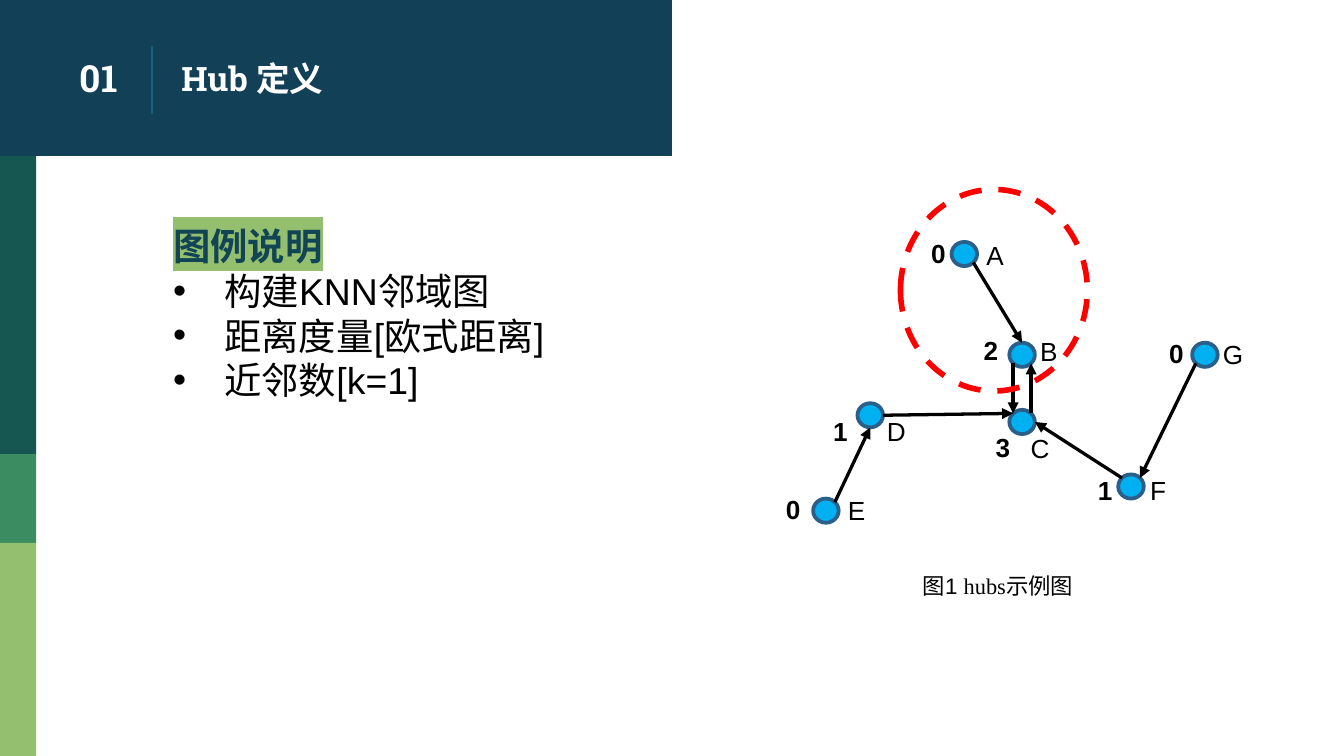
from dataclasses import dataclass
from math import cos, pi, sin

from lxml import etree
from pptx import Presentation
from pptx.dml.color import RGBColor
from pptx.enum import dml, shapes, text
from pptx.oxml import ns
from pptx.util import Inches, Pt


@dataclass(frozen=True)
class Theme:
    """Colours, fonts and type sizes of the slide."""
    navy: str = "124057"
    teal: str = "18637B"
    pine: str = "165751"
    green: str = "3B8D61"
    lime: str = "94BF6E"
    heading: str = "114454"
    white: str = "FFFFFF"
    black: str = "000000"
    node: str = "00B0F0"
    node_edge: str = "2B5F8A"
    ring: str = "FF0000"
    slab: str = "Roboto Slab"
    sans: str = "Arial"
    head_font: str = "Calibri"
    serif: str = "Times New Roman"
    title: int = 18
    body: int = 20
    label: int = 14
    caption: int = 12


T = Theme()
NODE_W, NODE_H = 0.19, 0.18
NODES = {
    "A": ("0", (1.33, 0.39), (1.08, 0.31), (1.49, 0.32)),
    "B": ("2", (1.76, 1.14), (1.47, 1.03), (1.89, 1.04)),
    "C": ("3", (1.76, 1.64), (1.56, 1.75), (1.82, 1.76)),
    "D": ("1", (0.63, 1.59), (0.35, 1.63), (0.75, 1.63)),
    "E": ("0", (0.3, 2.3), (0, 2.21), (0.46, 2.22)),
    "F": ("1", (2.57, 2.12), (2.32, 2.07), (2.71, 2.07)),
    "G": ("0", (3.12, 1.14), (2.85, 1.05), (3.25, 1.06)),
}
EDGES = [("A", 5, "B", 0), ("E", 7, "D", 4), ("D", 6, "C", 1), ("B", 3, "C", 1),
         ("C", 7, "B", 5), ("F", 1, "C", 6), ("G", 3, "F", 7)]


def rgb(value):
    """Turn a hex string into a colour."""
    return RGBColor.from_string(value)


def add_run(p, words, size, font, color, bold=False):
    """Append one formatted run to a paragraph."""
    r = p.add_run()
    r.text = words
    r.font.size, r.font.name, r.font.bold = Pt(size), font, bold
    r.font.color.rgb = rgb(color)
    return r


def add_text(s, x, y, w, h, inset=0.05):
    """Add a wrapping text box and return its text frame."""
    tf = s.shapes.add_textbox(*map(Inches, (x, y, w, h))).text_frame
    tf.word_wrap = True
    tf.margin_top = tf.margin_bottom = Inches(inset)
    return tf


def add_shape(s, kind, box, fill=None, line=None, width=1):
    """Add a flat preset shape."""
    sp = s.shapes.add_shape(kind, *map(Inches, box))
    sp.shadow.inherit = False
    if fill:
        sp.fill.solid()
        sp.fill.fore_color.rgb = rgb(fill)
    else:
        sp.fill.background()
    if line:
        sp.line.color.rgb = rgb(line)
        sp.line.width = Pt(width)
    else:
        sp.line.fill.background()
    return sp


def add_line(s, start, end, color, width, arrow=False):
    """Add a straight connector, with an arrowhead at its end if asked."""
    cx = s.shapes.add_connector(shapes.MSO_CONNECTOR.STRAIGHT,
                                *map(Inches, (*start, *end)))
    cx.line.color.rgb = rgb(color)
    cx.line.width = Pt(width)
    spPr = cx.element.spPr
    if arrow:
        etree.SubElement(spPr.find(ns.qn("a:ln")), ns.qn("a:tailEnd"), type="triangle")
    etree.SubElement(spPr, ns.qn("a:effectLst"))


def add_header(s, x, y, w, h):
    """Place the title band with section number, divider and title."""
    add_shape(s, shapes.MSO_SHAPE.RECTANGLE, (x, y, w, h), T.navy)
    add_line(s, (x + 1.13, y + 0.34), (x + 1.13, y + 0.85), T.teal, 0.75)
    title = s.shapes.title
    title.element.getparent().append(title.element)
    title.left, title.top = Inches(x + 1.25), Inches(y + 0.02)
    title.width, title.height = Inches(3.54), Inches(1.12)
    tf = title.text_frame
    tf.auto_size = text.MSO_AUTO_SIZE.NONE
    tf.vertical_anchor = text.MSO_ANCHOR.MIDDLE
    tf.margin_left = tf.margin_right = tf.margin_top = tf.margin_bottom = Inches(0.1)
    p = tf.paragraphs[0]
    p.alignment = text.PP_ALIGN.LEFT
    add_run(p, "Hub 定义", T.title, T.slab, T.white, True)
    p = add_text(s, x + 0.34, y + 0.36, 0.79, 0.44).paragraphs[0]
    p.alignment = text.PP_ALIGN.CENTER
    add_run(p, "01", T.body, T.slab, T.white, True)


def add_sidebar(s, x, y, w):
    """Stack the coloured bands down the left edge."""
    for height, color in ((2.22, T.pine), (0.66, T.green), (1.59, T.lime)):
        add_shape(s, shapes.MSO_SHAPE.RECTANGLE, (x, y, w, height), color)
        y += height


def add_notes_list(s, x, y, w, h):
    """Place the highlighted heading and its bullets."""
    tf = add_text(s, x, y, w, h, 0.1)
    p = tf.paragraphs[0]
    p.space_before = Pt(6)
    r = add_run(p, "图例说明", T.body, T.head_font, T.heading, True)
    mark = etree.Element(ns.qn("a:highlight"))
    etree.SubElement(mark, ns.qn("a:srgbClr"), val=T.lime)
    r.font._element.find(ns.qn("a:solidFill")).addnext(mark)
    for words in ("构建KNN邻域图", "距离度量[欧式距离]", "近邻数[k=1]"):
        p = tf.add_paragraph()
        p.alignment = text.PP_ALIGN.JUSTIFY
        pPr = p._p.get_or_add_pPr()
        pPr.set("marL", str(Inches(0.38)))
        pPr.set("indent", str(-Inches(0.38)))
        etree.SubElement(pPr, ns.qn("a:buFont"), typeface=T.sans)
        etree.SubElement(pPr, ns.qn("a:buChar"), char="•")
        add_run(p, words, T.body, T.sans, T.black)


def node_site(x, y, name, site):
    """Find a point on a node's rim, in eighths anticlockwise from the top."""
    left, top = NODES[name][1]
    angle = site * pi / 4
    return (x + left + NODE_W / 2 * (1 - sin(angle)),
            y + top + NODE_H / 2 * (1 - cos(angle)))


def add_graph(s, x, y):
    """Draw the neighbour graph with its labels, caption and ring."""
    oval = shapes.MSO_SHAPE.OVAL
    for _, (nx, ny), _, _ in NODES.values():
        add_shape(s, oval, (x + nx, y + ny, NODE_W, NODE_H), T.node, T.node_edge, 2)
    for tail, out_site, head, in_site in EDGES:
        add_line(s, node_site(x, y, tail, out_site), node_site(x, y, head, in_site),
                 T.black, 1.75, True)
    for name, (count, _, count_at, name_at) in NODES.items():
        for words, (dx, dy), bold in ((count, count_at, True), (name, name_at, False)):
            tf = add_text(s, x + dx, y + dy, 0.63, 0.34)
            add_run(tf.paragraphs[0], words, T.label, T.sans, T.black, bold)
    p = add_text(s, x + 0.97, y + 2.75, 1.41, 0.41, 0.1).paragraphs[0]
    p.alignment = text.PP_ALIGN.CENTER
    for words, font in (("图1 ", T.sans), ("hubs", T.serif), ("示例图", T.sans)):
        add_run(p, words, T.caption, font, T.black)
    ring = add_shape(s, oval, (x + 0.95, y, 1.39, 1.5), None, T.ring, 3)
    ring.line.dash_style = dml.MSO_LINE.DASH


def main():
    """Build and save the slide."""
    prs = Presentation()
    prs.slide_width = Inches(10)
    prs.slide_height = prs.slide_width * 9 // 16
    s = prs.slides.add_slide(prs.slide_layouts.get_by_name("Title Only"))
    add_sidebar(s, 0, 1.16, 0.27)
    add_header(s, 0, 0, 5, 1.16)
    add_notes_list(s, 1.19, 1.56, 3.78, 3.41)
    add_graph(s, 5.75, 1.41)
    prs.save("out.pptx")


if __name__ == "__main__":
    main()
